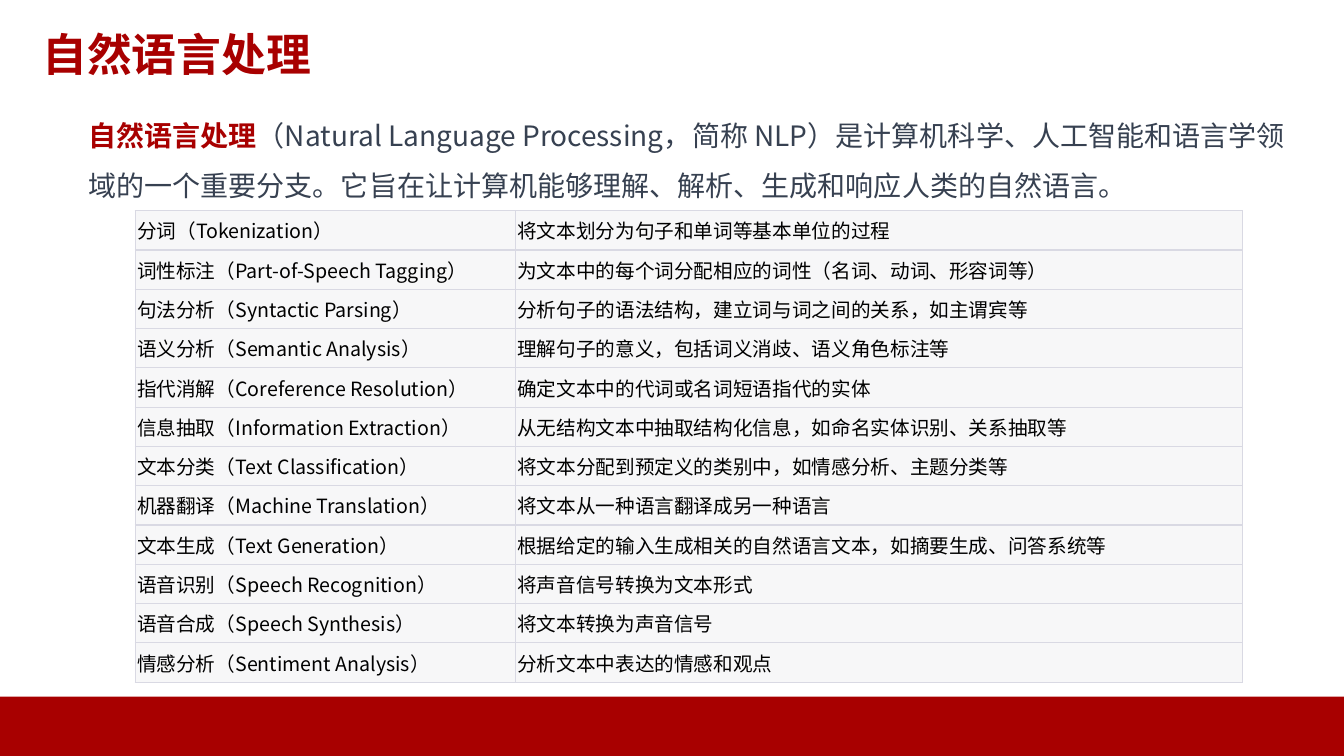
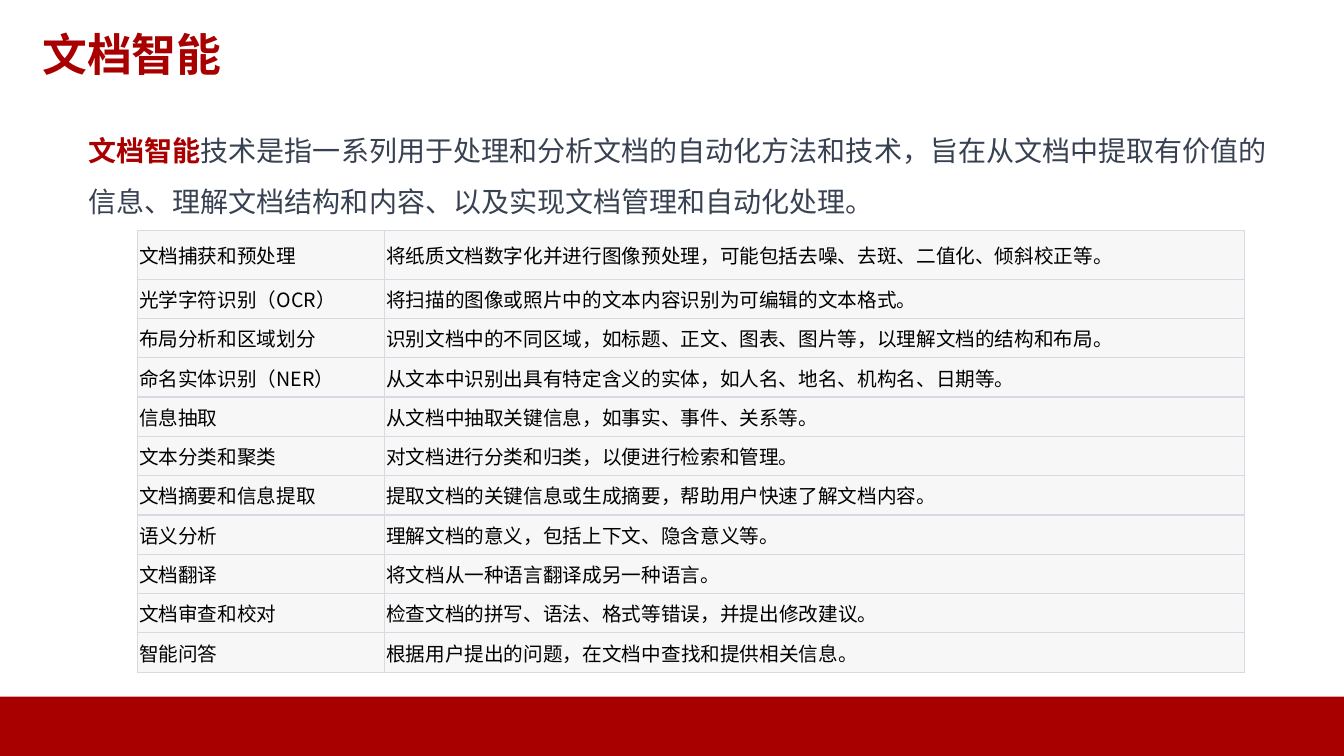
from dataclasses import dataclass
from lxml.etree import SubElement as Sub
from pptx import Presentation as Deck
from pptx.dml.color import RGBColor as RGB
from pptx.enum.shapes import MSO_SHAPE as Kind
from pptx.enum.text import MSO_ANCHOR as Anchor, MSO_AUTO_SIZE as Auto, PP_ALIGN as Align
from pptx.oxml.ns import qn
from pptx.util import Inches, Pt


@dataclass(frozen=True)
class Theme:
    face: str = "Noto Sans CJK SC"
    red: str = "A80000"
    gray: str = "374151"
    ink: str = "000000"
    cell: str = "F7F7F8"
    rule: str = "D9D9E3"
    head: int = 32
    lead: int = 20
    body: int = 14


def box(*sides):
    return [Inches(side) for side in sides]


class Pen:
    def __init__(self, deck, theme):
        self.deck, self.theme = deck, theme
        self.plan = deck.slide_layouts.get_by_name("Title Only")
        self.slide = None

    def start(self, title):
        self.slide = self.deck.slides.add_slide(self.plan)
        if len(self.deck.slides) == 1:
            self.band()
        self.title(title)

    def paint(self, fill, color):
        fill.solid()
        fill.fore_color.rgb = RGB.from_string(color)

    def font(self, par, size, color, bold=False):
        font = par.font
        font.size, font.bold, font.name = Pt(size), bold, self.theme.face
        font.color.rgb = RGB.from_string(color)
        for style in par._p.iter(qn("a:defRPr")):
            Sub(style, qn("a:ea"), typeface=self.theme.face)

    def inset(self, frame, wide, high):
        frame.margin_left = frame.margin_right = Inches(wide)
        frame.margin_top = frame.margin_bottom = Inches(high)

    def band(self):
        band = self.slide.shapes.add_shape(Kind.RECTANGLE, *box(0, 6.91, 13.33, 0.59))
        band.shadow.inherit = False
        self.paint(band.fill, self.theme.red)
        band.line.fill.background()
        band.element.nvSpPr.cNvPr.set("id", "99")
        self.plan.shapes.element.append(band.element)

    def title(self, text):
        title = self.slide.shapes.title
        title.left, title.top, title.width, title.height = box(0.42, 0.03, 12.5, 0.77)
        frame = title.text_frame
        frame.text, frame.auto_size = text, Auto.NONE
        frame.vertical_anchor = Anchor.BOTTOM
        self.inset(frame, 0, 0)
        par = frame.paragraphs[0]
        par.alignment = Align.LEFT
        self.font(par, self.theme.head, self.theme.red, True)

    def intro(self, top, term, text):
        frame = self.slide.shapes.add_textbox(*box(0.78, top, 12.14, 1.05)).text_frame
        frame.word_wrap, frame.auto_size = True, Auto.SHAPE_TO_FIT_TEXT
        par = frame.paragraphs[0]
        par.line_spacing = 1.5
        self.font(par, self.theme.lead, self.theme.gray)
        key = par.add_run()
        key.text = term
        key.font.bold = True
        key.font.color.rgb = RGB.from_string(self.theme.red)
        par.add_run().text = text

    def edge(self, cell):
        props = cell._tc.get_or_add_tcPr()
        for side, width in (("L", 0.75), ("R", 0.75), ("T", 1), ("B", 1)):
            line = Sub(props, qn(f"a:ln{side}"), w=str(Pt(width)))
            Sub(Sub(line, qn("a:solidFill")), qn("a:srgbClr"), val=self.theme.rule)

    def table(self, left, top, split, rows, first=0.39, step=0.39):
        width = 10.98
        high = first + step * (len(rows) - 1)
        grid = self.slide.shapes.add_table(
            len(rows), 2, *box(left, top, width, high)).table
        grid.first_row = grid.horz_banding = False
        for col, size in zip(grid.columns, (split, width - split)):
            col.width = Inches(size)
        for at, pair in enumerate(rows):
            grid.rows[at].height = Inches(step if at else first)
            for cell, text in zip(grid.rows[at].cells, pair):
                self.edge(cell)
                self.paint(cell.fill, self.theme.cell)
                self.inset(cell, 0.02, 0.01)
                cell.vertical_anchor = Anchor.MIDDLE
                cell.text = text
                self.font(cell.text_frame.paragraphs[0], self.theme.body, self.theme.ink)


TASKS = [
    ("分词（Tokenization）", "将文本划分为句子和单词等基本单位的过程"),
    ("词性标注（Part-of-Speech Tagging）", "为文本中的每个词分配相应的词性（名词、动词、形容词等）"),
    ("句法分析（Syntactic Parsing）", "分析句子的语法结构，建立词与词之间的关系，如主谓宾等"),
    ("语义分析（Semantic Analysis）", "理解句子的意义，包括词义消歧、语义角色标注等"),
    ("指代消解（Coreference Resolution）", "确定文本中的代词或名词短语指代的实体"),
    ("信息抽取（Information Extraction）", "从无结构文本中抽取结构化信息，如命名实体识别、关系抽取等"),
    ("文本分类（Text Classification）", "将文本分配到预定义的类别中，如情感分析、主题分类等"),
    ("机器翻译（Machine Translation）", "将文本从一种语言翻译成另一种语言"),
    ("文本生成（Text Generation）", "根据给定的输入生成相关的自然语言文本，如摘要生成、问答系统等"),
    ("语音识别（Speech Recognition）", "将声音信号转换为文本形式"),
    ("语音合成（Speech Synthesis）", "将文本转换为声音信号"),
    ("情感分析（Sentiment Analysis）", "分析文本中表达的情感和观点"),
]

SKILLS = [
    ("文档捕获和预处理", "将纸质文档数字化并进行图像预处理，可能包括去噪、去斑、二值化、倾斜校正等。"),
    ("光学字符识别（OCR）", "将扫描的图像或照片中的文本内容识别为可编辑的文本格式。"),
    ("布局分析和区域划分", "识别文档中的不同区域，如标题、正文、图表、图片等，以理解文档的结构和布局。"),
    ("命名实体识别（NER）", "从文本中识别出具有特定含义的实体，如人名、地名、机构名、日期等。"),
    ("信息抽取", "从文档中抽取关键信息，如事实、事件、关系等。"),
    ("文本分类和聚类", "对文档进行分类和归类，以便进行检索和管理。"),
    ("文档摘要和信息提取", "提取文档的关键信息或生成摘要，帮助用户快速了解文档内容。"),
    ("语义分析", "理解文档的意义，包括上下文、隐含意义等。"),
    ("文档翻译", "将文档从一种语言翻译成另一种语言。"),
    ("文档审查和校对", "检查文档的拼写、语法、格式等错误，并提出修改建议。"),
    ("智能问答", "根据用户提出的问题，在文档中查找和提供相关信息。"),
]


def main():
    deck = Deck()
    deck.slide_width, deck.slide_height = box(13.33, 7.5)
    pen = Pen(deck, Theme())

    pen.start("自然语言处理")
    pen.intro(0.96, "自然语言处理",
              "（Natural Language Processing，简称 NLP）是计算机科学、人工智能和语言学"
              "领域的一个重要分支。它旨在让计算机能够理解、解析、生成和响应人类的自然语言。")
    pen.table(1.34, 2.09, 3.77, TASKS)

    pen.start("文档智能")
    pen.intro(1.11, "文档智能",
              "技术是指一系列用于处理和分析文档的自动化方法和技术，旨在从文档中提取有价值的"
              "信息、理解文档结构和内容、以及实现文档管理和自动化处理。")
    pen.table(1.36, 2.29, 2.45, SKILLS, first=0.48)

    deck.save("out.pptx")


if __name__ == "__main__":
    main()
